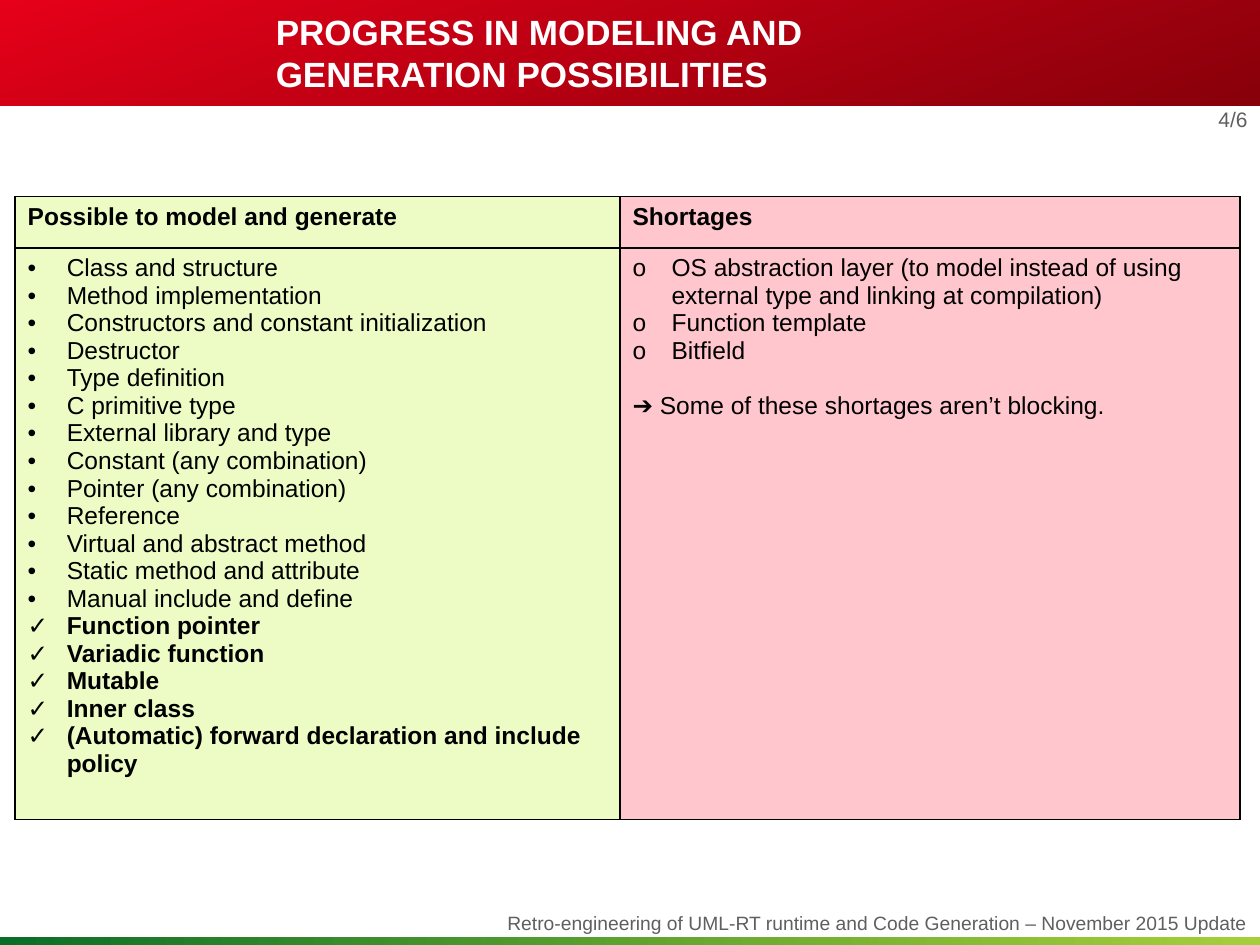
from dataclasses import dataclass

from lxml import etree
from pptx import Presentation
from pptx.dml.color import RGBColor
from pptx.enum.shapes import MSO_SHAPE
from pptx.enum.text import MSO_ANCHOR, PP_ALIGN
from pptx.oxml.ns import qn
from pptx.util import Inches, Pt

FONT = "Arial"
BLACK, WHITE, GREY = "000000", "FFFFFF", "5F5F5F"
WIDTH, HEIGHT = 10, 7.5
HANG = 0.31


@dataclass
class Band:
    top: float
    height: float
    start: str
    end: str
    angle: float
    end_opacity: int = 100


@dataclass
class Label:
    text: str
    box: tuple[float, float, float, float]
    size: float
    color: str
    bold: bool = False
    align: PP_ALIGN = PP_ALIGN.LEFT
    anchor: MSO_ANCHOR = MSO_ANCHOR.TOP


@dataclass
class Item:
    text: str
    bullet: str = ""
    bold: bool = False
    space_before: float = 0


@dataclass
class Column:
    width: float
    fill: str
    heading: str
    items: list[Item]


def rgb(value: str) -> RGBColor:
    return RGBColor.from_string(value)


def write(paragraph, text: str, size: float, color: str, bold: bool = False) -> None:
    run = paragraph.add_run()
    run.text = text
    run.font.name, run.font.size, run.font.bold = FONT, Pt(size), bold
    run.font.color.rgb = rgb(color)


def draw_band(slide, band: Band) -> None:
    shape = slide.shapes.add_shape(
        MSO_SHAPE.RECTANGLE, 0, Inches(band.top), Inches(WIDTH), Inches(band.height))
    shape.shadow.inherit = False
    shape.line.fill.background()
    shape.fill.gradient()
    shape.fill.gradient_angle = band.angle
    for stop, color in zip(shape.fill.gradient_stops, (band.start, band.end)):
        stop.color.rgb = rgb(color)
    if band.end_opacity < 100:
        last = shape._element.spPr.findall(".//" + qn("a:srgbClr"))[-1]
        etree.SubElement(last, qn("a:alpha"), val=str(band.end_opacity * 1000))


def draw_label(slide, label: Label) -> None:
    frame = slide.shapes.add_textbox(*map(Inches, label.box)).text_frame
    frame.word_wrap = True
    frame.vertical_anchor = label.anchor
    paragraph = frame.paragraphs[0]
    paragraph.alignment = label.align
    write(paragraph, label.text, label.size, label.color, label.bold)


def add_borders(cell) -> None:
    props = cell._tc.get_or_add_tcPr()
    for index, side in enumerate(("lnL", "lnR", "lnT", "lnB")):
        line = etree.Element(qn(f"a:{side}"), w=str(Pt(1)))
        solid = etree.SubElement(line, qn("a:solidFill"))
        etree.SubElement(solid, qn("a:srgbClr"), val=BLACK)
        props.insert(index, line)


def fill_cell(cell, fill: str, items: list[Item]) -> None:
    cell.fill.solid()
    cell.fill.fore_color.rgb = rgb(fill)
    add_borders(cell)
    frame = cell.text_frame
    for index, item in enumerate(items):
        paragraph = frame.add_paragraph() if index else frame.paragraphs[0]
        if item.space_before:
            paragraph.space_before = Pt(item.space_before)
        write(paragraph, item.text, 14, BLACK, item.bold)
        if item.bullet:
            props = paragraph._p.get_or_add_pPr()
            props.set("marL", str(Inches(HANG)))
            props.set("indent", str(-Inches(HANG)))
            etree.SubElement(props, qn("a:buFont"), typeface=FONT)
            etree.SubElement(props, qn("a:buChar"), char=item.bullet)


def draw_table(slide, columns: list[Column], left: float, top: float,
               row_heights: tuple[float, ...]) -> None:
    table = slide.shapes.add_table(
        len(row_heights), len(columns), Inches(left), Inches(top),
        Inches(sum(c.width for c in columns)), Inches(sum(row_heights))).table
    table.first_row = table.horz_banding = False
    for row, height in zip(table.rows, row_heights):
        row.height = Inches(height)
    for index, column in enumerate(columns):
        table.columns[index].width = Inches(column.width)
        fill_cell(table.cell(0, index), column.fill, [Item(column.heading, bold=True)])
        fill_cell(table.cell(1, index), column.fill, column.items)


POSSIBLE = [
    "Class and structure", "Method implementation",
    "Constructors and constant initialization", "Destructor", "Type definition",
    "C primitive type", "External library and type", "Constant (any combination)",
    "Pointer (any combination)", "Reference", "Virtual and abstract method",
    "Static method and attribute", "Manual include and define",
]
NEWLY_POSSIBLE = [
    "Function pointer", "Variadic function", "Mutable", "Inner class",
    "(Automatic) forward declaration and include policy",
]
SHORTAGES = [
    "OS abstraction layer (to model instead of using external type and linking at compilation)",
    "Function template", "Bitfield",
]
COLUMNS = [
    Column(4.8, "EDFCC5", "Possible to model and generate",
           [Item(t, "•") for t in POSSIBLE]
           + [Item(t, "✓", bold=True) for t in NEWLY_POSSIBLE]),
    Column(4.92, "FFC7CD", "Shortages",
           [Item(t, "o") for t in SHORTAGES]
           + [Item("➔ Some of these shortages aren’t blocking.", space_before=15.75)]),
]
BANDS = [
    Band(0, 0.84, "E60019", "87000A", 290),
    Band(HEIGHT - 0.06, 0.06, "0A6E28", "91C30A", 0, 80),
]
LABELS = [
    Label("4/6", (9.17, 0.8, 0.83, 0.3), 12, GREY, align=PP_ALIGN.RIGHT),
    Label("Retro-engineering of UML-RT runtime and Code Generation – November 2015 Update",
          (0.51, 7.18, 9.49, 0.32), 11, GREY, align=PP_ALIGN.RIGHT),
    Label("PROGRESS IN MODELING AND GENERATION POSSIBILITIES",
          (2.09, 0.1, 5.28, 0.63), 20, WHITE, bold=True, anchor=MSO_ANCHOR.MIDDLE),
]

deck = Presentation()
deck.slide_width, deck.slide_height = Inches(WIDTH), Inches(HEIGHT)
slide = deck.slides.add_slide(deck.slide_layouts[6])
for band in BANDS:
    draw_band(slide, band)
for label in LABELS:
    draw_label(slide, label)
draw_table(slide, COLUMNS, 0.12, 1.56, (0.41, 4.25))
deck.save("out.pptx")
